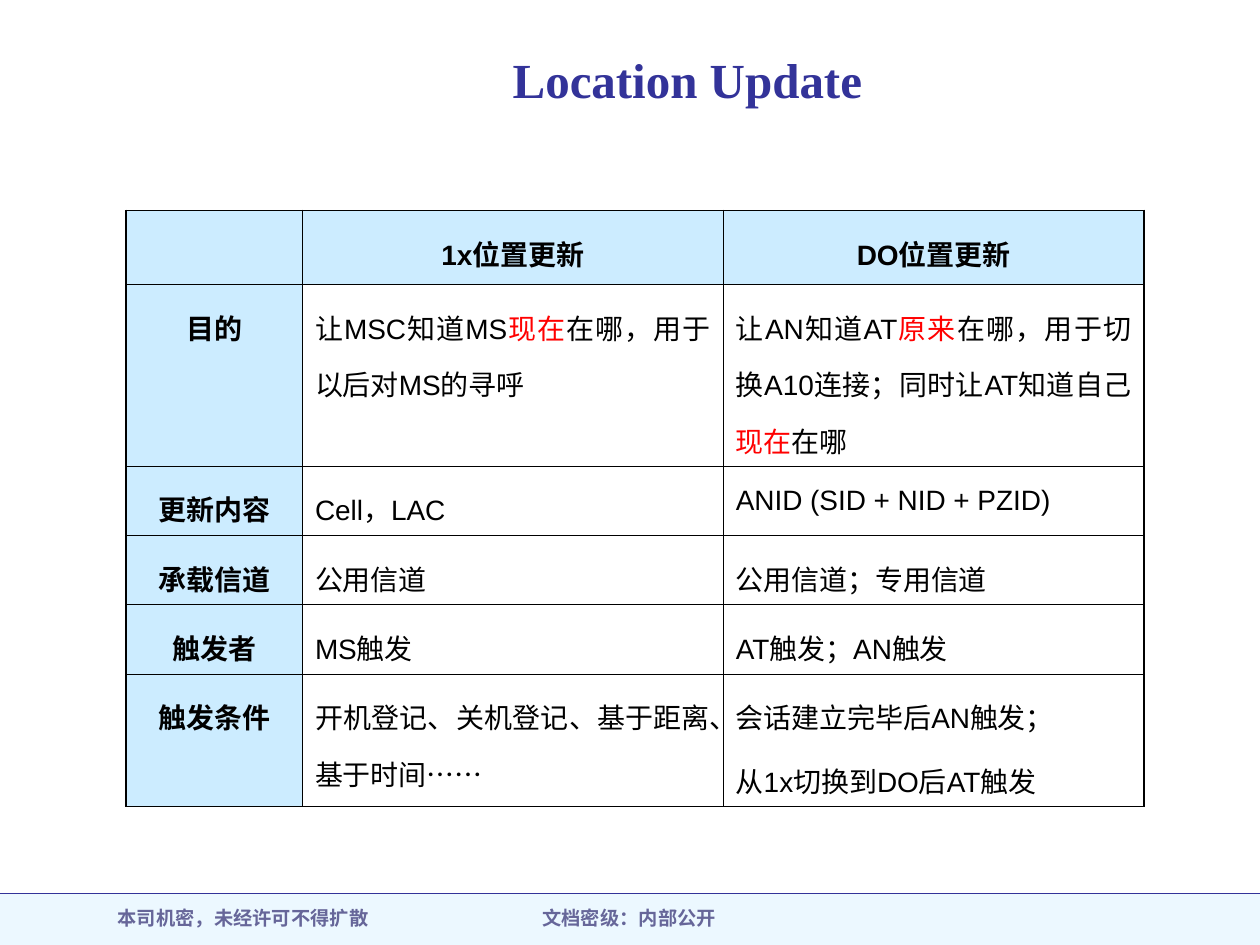
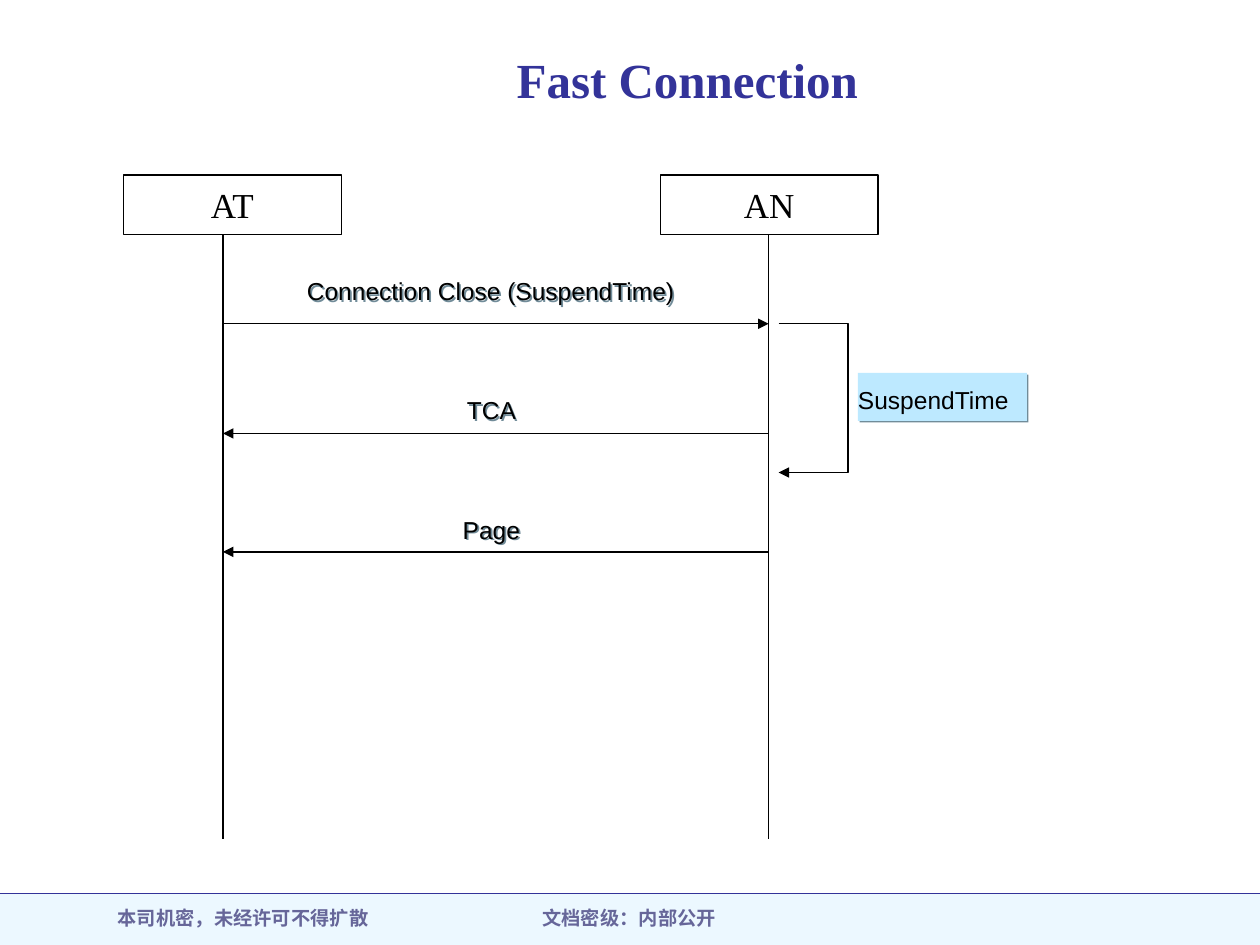
from lxml import etree
from pptx import Presentation
from pptx.dml.color import RGBColor
from pptx.enum.lang import MSO_LANGUAGE_ID as LANG
from pptx.enum.shapes import MSO_CONNECTOR, MSO_SHAPE
from pptx.enum.text import MSO_ANCHOR, PP_ALIGN
from pptx.oxml.ns import qn
from pptx.util import Inches, Pt

# Shared style
COLORS = {
    "title": "333399", "title_shadow": "C0C0C0", "footer": "666699",
    "band": "A7E2FF", "head": "CCECFF", "timer": "BDE9FF",
    "shadow": "718C99", "text": "000000", "accent": "FF0000",
}
SERIF, SANS = "Times New Roman", "Arial"
CENTER, LEFT, JUSTIFY = PP_ALIGN.CENTER, PP_ALIGN.LEFT, PP_ALIGN.JUSTIFY
BAND_TOP = 7.09
FOOTERS = [("本司机密，未经许可不得扩散", 0.59, 2.68),
           ("文档密级：内部公开", 3.41, 3.17)]

# Slide 1: a cell is a list of paragraphs, "*" surrounds accented words
TABLE_AT = (1, 1.67)
COLUMNS = [1.4, 3.34, 3.34]
ROWS = [
    (0.59, [], ["1x位置更新"], ["DO位置更新"]),
    (1.44, ["目的"], ["让MSC知道MS*现在*在哪，用于以后对MS的寻呼"],
     ["让AN知道AT*原来*在哪，用于切换A10连接；同时让AT知道自己*现在*在哪"]),
    (0.55, ["更新内容"], ["Cell，LAC"], ["ANID (SID + NID + PZID)"]),
    (0.55, ["承载信道"], ["公用信道"], ["公用信道；专用信道"]),
    (0.55, ["触发者"], ["MS触发"], ["AT触发；AN触发"]),
    (1.05, ["触发条件"], ["开机登记、关机登记、基于距离、基于时间……"],
     ["会话建立完毕后AN触发；", "从1x切换到DO后AT触发"]),
]

# Slide 2: nodes (name, box left, lifeline x), messages (label, left, top, width, y, from, to)
NODES = [("AT", 0.98, 1.77), ("AN", 5.24, 6.1)]
NODE_TOP, NODE_W, NODE_H, LIFE_END = 1.39, 1.73, 0.47, 6.66
AT_X, AN_X = (x for _, _, x in NODES)
MESSAGES = [
    ("Connection Close (SuspendTime)", 1.85, 2.1, 4.09, 2.57, AT_X, AN_X),
    ("TCA", 2.09, 3.04, 3.62, 3.44, AN_X, AT_X),
    ("Page", 2.09, 3.99, 3.62, 4.38, AN_X, AT_X),
]
TIMER_PATH = [(6.18, 2.57), (6.73, 2.57), (6.73, 3.75), (6.18, 3.75)]
TIMER_LABEL = ("SuspendTime", 6.81, 2.96, 1.34)
LABEL_H = 0.38


def rgb(name):
    return RGBColor.from_string(COLORS[name])


def inches(*values):
    return [Inches(v) for v in values]


def add_run(p, text, size, font, color="text", bold=False):
    r = p.add_run()
    r.text = text
    r.font.size, r.font.name, r.font.bold = Pt(size), font, bold
    r.font.color.rgb = rgb(color)
    r.font.language_id = LANG.SIMPLIFIED_CHINESE
    return r


def add_shadow(parent, color, distance):
    effects = parent.find(qn("a:effectLst"))
    if effects is None:
        effects = etree.Element(qn("a:effectLst"))
        fill = parent.find(qn("a:solidFill"))
        if fill is not None:
            fill.addnext(effects)
        else:
            parent.append(effects)
    outer = etree.SubElement(effects, qn("a:outerShdw"), dist=str(Pt(distance)),
                             dir="2700000", algn="ctr", rotWithShape="0")
    etree.SubElement(outer, qn("a:srgbClr"), val=COLORS[color])


def add_text(s, text, at, size, font, color="text", bold=False, align=CENTER):
    sp = s.shapes.add_textbox(*inches(*at))
    tf = sp.text_frame
    tf.word_wrap = True
    p = tf.paragraphs[0]
    p.alignment = align
    return sp, add_run(p, text, size, font, color, bold)


def add_rect(s, at, fill=None):
    sp = s.shapes.add_shape(MSO_SHAPE.RECTANGLE, *inches(*at))
    sp.shadow.inherit = False
    if fill:
        sp.fill.solid()
        sp.fill.fore_color.rgb = rgb(fill)
    else:
        sp.fill.background()
    return sp


def style_line(sp, color="text", arrow=False):
    sp.line.color.rgb = rgb(color)
    sp.line.width = Pt(0.75)
    if arrow:
        etree.SubElement(sp.line._get_or_add_ln(), qn("a:tailEnd"), type="triangle")


def add_line(s, start, end, color="text", arrow=False):
    line = s.shapes.add_connector(MSO_CONNECTOR.STRAIGHT, *inches(*start, *end))
    style_line(line, color, arrow)
    etree.SubElement(line._element.spPr, qn("a:effectLst"))


def add_label(s, text, left, top, width, align=CENTER, fill=None):
    sp, _ = add_text(s, text, (left, top, width, LABEL_H), 14, SANS, align=align)
    tf = sp.text_frame
    tf.margin_left = tf.margin_right = tf.margin_top = 0
    tf.paragraphs[0].line_spacing = 1.4
    if fill:
        sp.fill.solid()
        sp.fill.fore_color.rgb = rgb(fill)
    add_shadow(sp._element.spPr, "shadow", 1.4)


def new_slide(prs, title):
    s = prs.slides.add_slide(prs.slide_layouts[6])
    # Footer band
    band = add_rect(s, (0, BAND_TOP, 10, 7.5 - BAND_TOP), "band")
    band.line.fill.background()
    color = band._element.spPr.find(qn("a:solidFill"))[0]
    etree.SubElement(color, qn("a:alpha"), val="21000")
    for text, left, width in FOOTERS:
        add_text(s, text, (left, 7.14, width, 0.36), 11, SERIF, "footer", True)
    add_line(s, (0, BAND_TOP), (10, BAND_TOP), "title")
    # Title
    sp, r = add_text(s, title, (1.58, 0.25, 7.75, 0.75), 28, SERIF, "title", True)
    sp.text_frame.vertical_anchor = MSO_ANCHOR.MIDDLE
    add_shadow(r.font._element, "title_shadow", 2)
    return s


def set_borders(cell, row, col):
    outer = {"L": col == 0, "R": col == len(COLUMNS) - 1,
             "T": row == 0, "B": row == len(ROWS) - 1}
    tcPr = cell._tc.get_or_add_tcPr()
    for side, is_outer in outer.items():
        ln = etree.SubElement(tcPr, qn(f"a:ln{side}"),
                              w=str(Pt(1.08 if is_outer else 0.45)))
        fill = etree.SubElement(ln, qn("a:solidFill"))
        etree.SubElement(fill, qn("a:srgbClr"), val=COLORS["text"])


def fill_cell(cell, paragraphs, is_head):
    if is_head:
        cell.fill.solid()
        cell.fill.fore_color.rgb = rgb("head")
    else:
        cell.fill.background()
    tf = cell.text_frame
    for i, text in enumerate(paragraphs):
        p = tf.add_paragraph() if i else tf.paragraphs[0]
        p.alignment = CENTER if is_head else JUSTIFY
        p.line_spacing = 1.4
        if i:
            p.space_before = Pt(4)
        for n, part in enumerate(text.split("*")):
            add_run(p, part, 16, SANS, "accent" if n % 2 else "text", is_head)


def build_location_update(prs):
    s = new_slide(prs, "Location Update")
    size = (sum(COLUMNS), sum(row[0] for row in ROWS))
    table = s.shapes.add_table(len(ROWS), len(COLUMNS),
                               *inches(*TABLE_AT, *size)).table
    table.first_row = table.horz_banding = False
    for column, width in zip(table.columns, COLUMNS):
        column.width = Inches(width)
    for i, (height, *cells) in enumerate(ROWS):
        table.rows[i].height = Inches(height)
        for j, paragraphs in enumerate(cells):
            cell = table.cell(i, j)
            set_borders(cell, i, j)
            fill_cell(cell, paragraphs, i == 0 or j == 0)


def build_fast_connection(prs):
    s = new_slide(prs, "Fast Connection")
    # Nodes and lifelines
    for name, left, life_x in NODES:
        sp = add_rect(s, (left, NODE_TOP, NODE_W, NODE_H))
        style_line(sp)
        tf = sp.text_frame
        tf.word_wrap = False
        tf.vertical_anchor = MSO_ANCHOR.MIDDLE
        tf.paragraphs[0].alignment = CENTER
        add_run(tf.paragraphs[0], name, 20, SERIF)
        add_line(s, (life_x, NODE_TOP + NODE_H), (life_x, LIFE_END))
    # Messages
    for text, left, top, width, y, start, end in MESSAGES:
        add_label(s, text, left, top, width)
        add_line(s, (start, y), (end, y), arrow=True)
    # Suspend timer
    points = [tuple(inches(*point)) for point in TIMER_PATH]
    builder = s.shapes.build_freeform(*points[0])
    builder.add_line_segments(points[1:], close=False)
    bracket = builder.convert_to_shape()
    bracket.shadow.inherit = False
    bracket.fill.background()
    style_line(bracket, arrow=True)
    add_label(s, *TIMER_LABEL, align=LEFT, fill="timer")


def main():
    prs = Presentation()
    prs.slide_width, prs.slide_height = inches(10, 7.5)
    build_location_update(prs)
    build_fast_connection(prs)
    prs.save("out.pptx")


if __name__ == "__main__":
    main()
